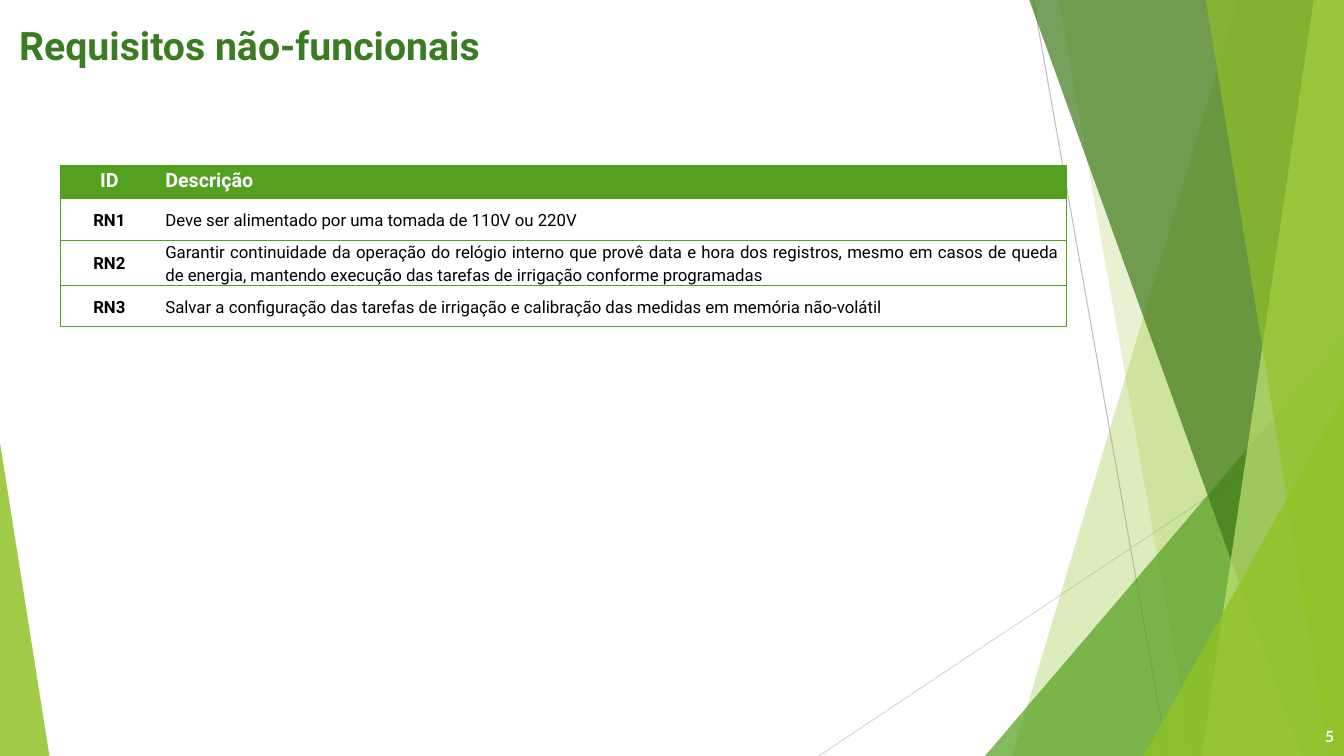
"""Build the slide of non-functional requirements with its green side bands."""
from dataclasses import dataclass

from lxml.etree import SubElement
from pptx import Presentation
from pptx.dml.color import RGBColor
from pptx.enum.shapes import MSO_CONNECTOR, MSO_SHAPE
from pptx.enum.text import MSO_ANCHOR, PP_ALIGN
from pptx.oxml.ns import qn
from pptx.oxml.xmlchemy import OxmlElement
from pptx.util import Inches, Pt


@dataclass(frozen=True)
class Theme:
    """Colours, fonts and type sizes."""
    lime: str = "90C226"
    pale: str = "C0E474"
    green: str = "54A021"
    dark: str = "3F7819"
    title: str = "3A7C22"
    white: str = "FFFFFF"
    black: str = "000000"
    font: str = "Roboto"
    digit: str = "Lato"
    big: int = 28
    head: int = 14
    body: int = 12
    small: int = 11


T = Theme()
TITLE = "Requisitos não-funcionais"
PAGE = "5"
ROWS = [
    ("ID", "Descrição"),
    ("RN1", "Deve ser alimentado por uma tomada de 110V ou 220V"),
    ("RN2", "Garantir continuidade da operação do relógio interno que provê data e hora "
            "dos registros, mesmo em casos de queda de energia, mantendo execução das "
            "tarefas de irrigação conforme programadas"),
    ("RN3", "Salvar a configuração das tarefas de irrigação e calibração das medidas "
            "em memória não-volátil"),
]

# Places below are percentages of the slide's width and height.
LINES = [((76.89, 0), (86.87, 100), "BFBFBF"), ((100, 53.73), (60.92, 100), "D9D9D9")]
SIDES = [
    ("band", 92.12, 75.32, T.lime, 30),
    ("band", 78.77, 88.75, T.lime, 20),
    ("right", 73.29, 44.4, T.green, 72),
    ("band", 76.59, 96.85, T.dark, 70),
    ("band", 97.75, 89.42, T.pale, 70),
    ("band", 89.72, 98.87, T.lime, 65),
    ("right", 85.07, 52.4, T.lime, 80),
    ("left", 3.68, 58.53, T.lime, 85),
]
TITLE_BOX = (0.68, 1.2, 47.71, 8.27)
PAGE_BOX = (94.45, 94.67, 5.55, 5.33)
GRID_AT = (4.5, 21.87)
COLS = (7.28, 67.59)
HEIGHTS = (4.4, 5.47, 5.47, 5.47)

WIDTH, HEIGHT = Inches(13.33), Inches(7.5)


def across(share):
    """Turn a share of the width into a length."""
    return round(WIDTH * share / 100)


def down(share):
    """Turn a share of the height into a length."""
    return round(HEIGHT * share / 100)


def place(box):
    """Turn left, top, width and height shares into lengths."""
    return across(box[0]), down(box[1]), across(box[2]), down(box[3])


def write(frame, text, size, color, bold=True, font=T.font, align=PP_ALIGN.LEFT):
    """Put one styled run in the first paragraph of a frame."""
    para = frame.paragraphs[0]
    para.alignment = align
    run = para.add_run()
    run.text = text
    run.font.size, run.font.bold, run.font.name = Pt(size), bold, font
    run.font.color.rgb = RGBColor.from_string(color)
    return para


def add_line(shapes, start, end, color):
    """Draw one thin line."""
    line = shapes.add_connector(MSO_CONNECTOR.STRAIGHT, across(start[0]), down(start[1]),
                                across(end[0]), down(end[1]))
    line.line.color.rgb = RGBColor.from_string(color)
    line.line.width = Pt(0.75)
    SubElement(line._element.spPr, qn("a:effectLst"))


def add_side(shapes, kind, first, second, color, alpha):
    """Draw one see-through band or corner triangle."""
    if kind == "band":
        form = shapes.build_freeform(across(first), 0)
        form.add_line_segments([(WIDTH, 0), (WIDTH, HEIGHT), (across(second), HEIGHT)])
        shape = form.convert_to_shape()
    else:
        left, wide = (first, 100 - first) if kind == "right" else (0, first)
        shape = shapes.add_shape(MSO_SHAPE.ISOSCELES_TRIANGLE,
                                 *place((left, second, wide, 100 - second)))
        shape.adjustments[0] = 1 if kind == "right" else 0
    shape.shadow.inherit = False
    shape.line.fill.background()
    shape.fill.solid()
    shape.fill.fore_color.rgb = RGBColor.from_string(color)
    tint = shape._element.spPr.find(qn("a:solidFill"))[0]
    SubElement(tint, qn("a:alpha")).set("val", str(alpha * 1000))


def set_edges(cell, widths):
    """Set left, right, top and bottom borders; zero means none."""
    props = cell._tc.get_or_add_tcPr()
    for spot, (side, width) in enumerate(zip("LRTB", widths)):
        edge = OxmlElement(f"a:ln{side}")
        if width:
            edge.set("w", str(Pt(width)))
            fill = SubElement(edge, qn("a:solidFill"))
            SubElement(fill, qn("a:srgbClr")).set("val", T.green)
        else:
            SubElement(edge, qn("a:noFill"))
        props.insert(spot, edge)


def add_grid(shapes):
    """Draw the table of requirements."""
    box = place((*GRID_AT, sum(COLS), sum(HEIGHTS)))
    table = shapes.add_table(len(ROWS), len(COLS), *box).table
    table.horz_banding = False
    for col, share in zip(table.columns, COLS):
        col.width = across(share)
    for row, share in zip(table.rows, HEIGHTS):
        row.height = down(share)
    last = len(ROWS) - 1
    for r, texts in enumerate(ROWS):
        for c, text in enumerate(texts):
            cell, head = table.cell(r, c), r == 0
            cell.margin_left = cell.margin_right = Inches(0.07)
            cell.margin_top = cell.margin_bottom = 0
            cell.vertical_anchor = MSO_ANCHOR.TOP if head else MSO_ANCHOR.MIDDLE
            cell.fill.solid()
            cell.fill.fore_color.rgb = RGBColor.from_string(T.green if head else T.white)
            para = write(cell.text_frame, text, T.head if head else T.body,
                         T.white if head else T.black, head or c == 0,
                         align=PP_ALIGN.JUSTIFY if c else PP_ALIGN.CENTER)
            para.line_spacing, para.space_after = 1.15, Pt(8)
            set_edges(cell, (1 - c, c, 1 if head else 0.5, 1 if r == last else 0.5))


def main():
    """Build and save the slide."""
    deck = Presentation()
    deck.slide_width, deck.slide_height = WIDTH, HEIGHT
    slide = deck.slides.add_slide(deck.slide_layouts[5])
    shapes = slide.shapes
    for line in LINES:
        add_line(shapes, *line)
    for side in SIDES:
        add_side(shapes, *side)
    title = shapes.title
    title.left, title.top, title.width, title.height = place(TITLE_BOX)
    title.text_frame.vertical_anchor = MSO_ANCHOR.TOP
    para = write(title.text_frame, TITLE, T.big, T.title)
    para.line_spacing, para.space_after = 1.15, Pt(4)
    add_grid(shapes)
    frame = shapes.add_textbox(*place(PAGE_BOX)).text_frame
    frame.word_wrap = True
    frame.vertical_anchor = MSO_ANCHOR.MIDDLE
    write(frame, PAGE, T.small, T.white, font=T.digit, align=PP_ALIGN.RIGHT)
    deck.save("out.pptx")


if __name__ == "__main__":
    main()
